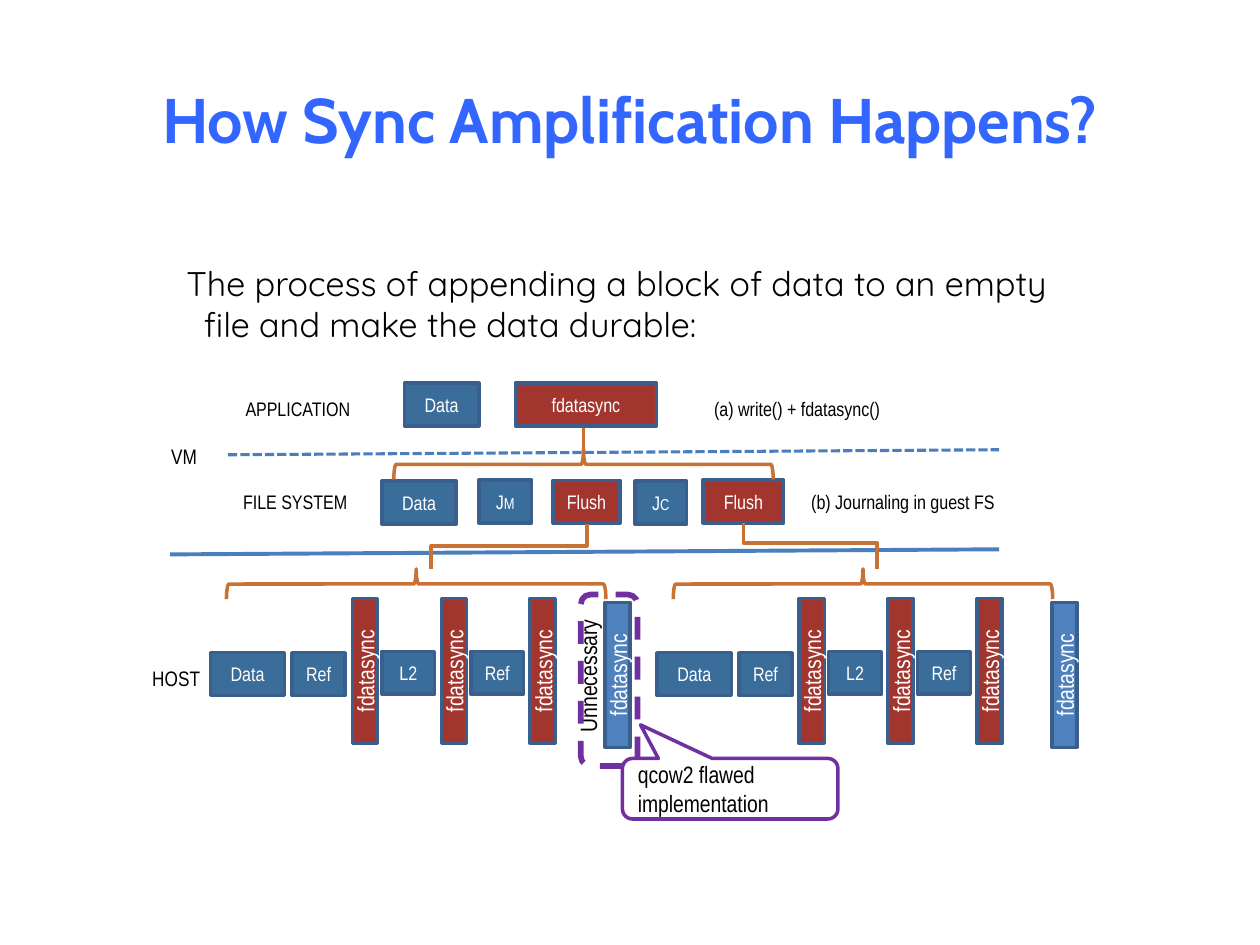
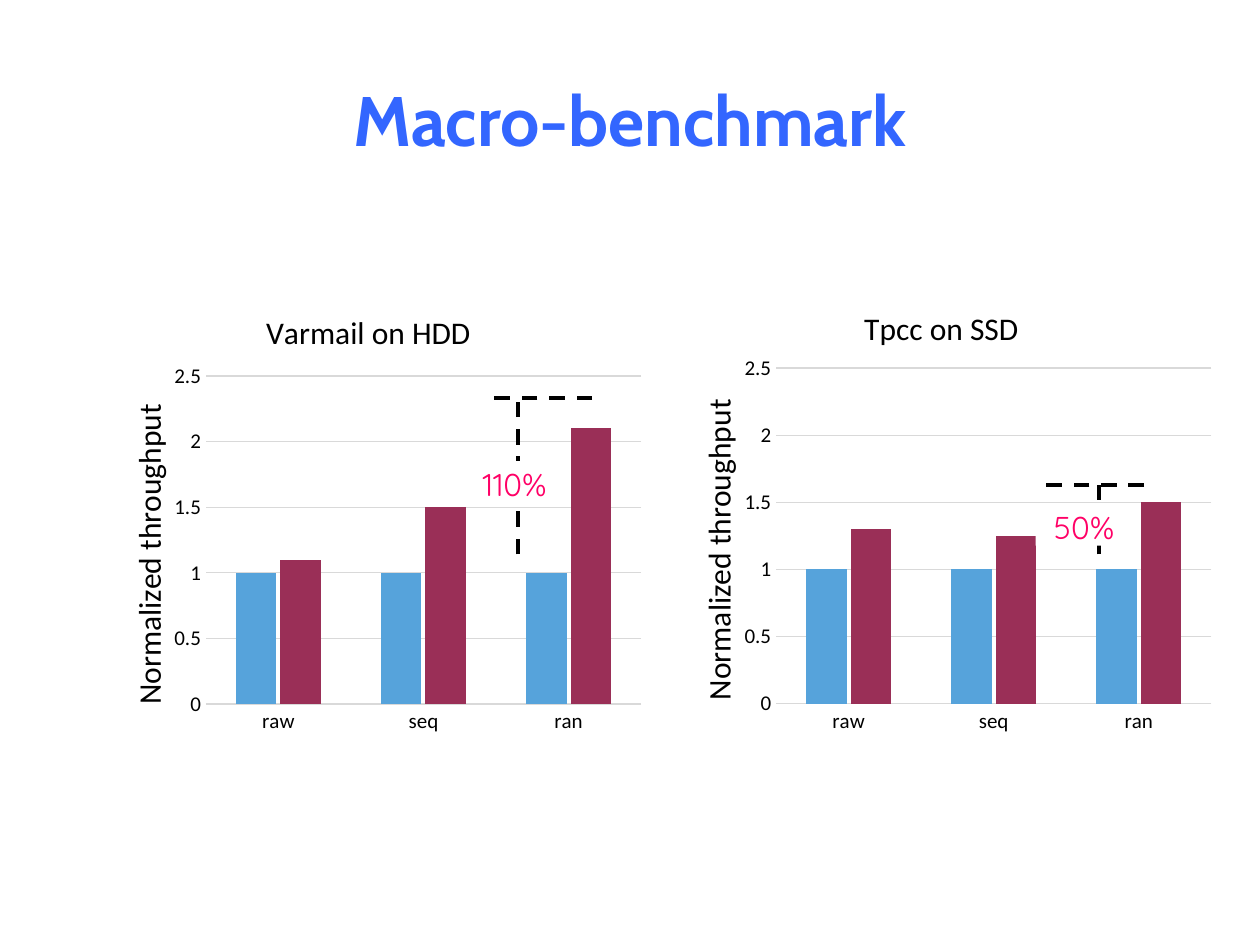
from pptx import Presentation
from pptx.util import Pt
from pptx.dml.color import RGBColor
from pptx.enum.shapes import MSO_SHAPE, MSO_CONNECTOR
from pptx.enum.text import PP_ALIGN, MSO_ANCHOR
from pptx.enum.dml import MSO_LINE
from pptx.enum.chart import XL_CHART_TYPE, XL_TICK_MARK
from pptx.chart.data import CategoryChartData
from pptx.oxml import parse_xml
from pptx.oxml.ns import qn, nsdecls
from lxml.etree import SubElement

# Colours and fonts
BLACK = RGBColor(0, 0, 0)
WHITE = RGBColor(255, 255, 255)
TITLE = RGBColor(0x33, 0x66, 0xFF)
STEEL = RGBColor(0x3B, 0x6D, 0x9B)
RED = RGBColor(0xA2, 0x36, 0x2E)
BLUE = RGBColor(0x4F, 0x81, 0xBD)
EDGE = RGBColor(0x3A, 0x5F, 0x8C)
RULE = RGBColor(0x4B, 0x7E, 0xBC)
ORANGE = RGBColor(0xC8, 0x73, 0x35)
PURPLE = RGBColor(0x70, 0x30, 0xA0)
PINK = RGBColor(0xFF, 0x00, 0x66)
GRID = RGBColor(0xD9, 0xD9, 0xD9)
BARS = [RGBColor(0x56, 0xA3, 0xDB), RGBColor(0x9A, 0x2F, 0x57)]
HEAD, BODY, NARROW, PLOT = "Cabin", "Quicksand", "Arial Narrow", "Calibri"

# Content of slide 1: lengths in points
INTRO = ("The process of appending a block of data to an empty file "
         "and make the data durable:")
LABELS = [  # text, left, top, width, size
    ("VM", 90.7, 249.8, 39.6, 12),
    ("APPLICATION", 133.2, 223.2, 99.4, 11.2),
    ("FILE SYSTEM", 131.8, 276.5, 99.4, 11.2),
    ("(a) write() + fdatasync()", 401, 223.2, 137.5, 11.2),
    ("(b) Journaling in guest FS", 456.5, 276.5, 153.4, 11.2),
    ("HOST", 79.9, 376.6, 46, 12),
]
STEPS = [  # text, left, top, width, fill
    ("Data", 231.1, 218.9, 42.5, STEEL),
    ("fdatasync", 294.5, 218.9, 80.6, RED),
    ("Data", 218.2, 275, 42.5, STEEL),
    ("JM", 273.6, 274.3, 30.2, STEEL),
    ("Flush", 316.1, 274.5, 38.2, RED),
    ("JC", 362.9, 275, 29.5, STEEL),
    ("Flush", 401.8, 274.3, 46.1, RED),
]
HOST = [  # text, left, top, width, fill; repeated for each flush
    ("Data", 120.2, 373, 42.5, STEEL),
    ("Ref", 167, 373, 30.2, STEEL),
    ("L2", 218.2, 372.2, 30.2, STEEL),
    ("Ref", 269, 372.2, 30.2, STEEL),
]
SYNC_X, SYNC_GAP, SYNC_Y, LAST_X, LAST_Y = 201.4, 50.8, 342, 345.8, 344.3
FLUSHES = [0, 255.3]
BRACES = [(333.4, 265.3), (237.8, 333.7), (493.1, 333.7)]  # centres
BENDS = [  # start x, start y, end x, end y, share of the height at the bend
    (335.5, 299.5, 246.2, 325.4, 0.48),
    (424.8, 298.8, 501.1, 325.4, 0.43),
]

# Content of slide 2
CATS = ["raw", "seq", "ran"]
CHARTS = [
    dict(name="Varmail on HDD", left=48.2, vals=[[1, 1, 1], [1.1, 1.5, 2.1]],
         area=(0.214, 0.212, 0.766, 0.704), head=(0.31, 0.06), side=(0.065, 0.26),
         top=(338.4, 279.4, 227.5), stem=295.9,
         gain="110%", at=(266.4, 263.5)),
    dict(name="Tpcc on SSD", left=373.7, vals=[[1, 1, 1], [1.3, 1.25, 1.5]],
         area=(0.215, 0.195, 0.766, 0.72), head=(0.36, 0.05), side=(0.065, 0.25),
         top=(653.8, 594, 277.2), stem=627.8,
         gain="50%", at=(591.8, 288)),
]


def write(shape, text, size=11.2, font=NARROW, color=BLACK, bold=False,
          align=PP_ALIGN.CENTER, anchor=MSO_ANCHOR.MIDDLE, ins=(0, 0, 0, 0),
          hang=0, before=0, space=None, vert=False, small=0):
    """Put one paragraph in a shape; `small` sizes all but the first letter."""
    frame = shape.text_frame
    frame.word_wrap = True
    frame.vertical_anchor = anchor
    (frame.margin_left, frame.margin_top,
     frame.margin_right, frame.margin_bottom) = map(Pt, ins)
    if vert:
        frame._txBody.find(qn("a:bodyPr")).set("vert", "vert270")
    para = frame.paragraphs[0]
    para.alignment = align
    para.space_before = Pt(before)
    if space:
        para.line_spacing = space
    if hang:
        props = para._p.get_or_add_pPr()
        props.set("marL", str(Pt(hang)))
        props.set("indent", str(-Pt(hang)))
    parts = [(text[0], size), (text[1:], small)] if small else [(text, size)]
    for part, pts in parts:
        run = para.add_run()
        run.text = part
        run.font.size, run.font.name = Pt(pts), font
        run.font.bold, run.font.color.rgb = bold, color


def note(slide, box, text, **form):
    shape = slide.shapes.add_textbox(*map(Pt, box))
    write(shape, text, **form)


def draw(slide, kind, box, fill=None, line=None, width=2, dash=None):
    shape = slide.shapes.add_shape(kind, *map(Pt, box))
    shape.shadow.inherit = False
    if fill is None:
        shape.fill.background()
    else:
        shape.fill.solid()
        shape.fill.fore_color.rgb = fill
    if line is None:
        shape.line.fill.background()
    else:
        shape.line.color.rgb, shape.line.width = line, Pt(width)
        if dash:
            shape.line.dash_style = dash
    return shape


def link(slide, ends, color, width, dash=None, kind=MSO_CONNECTOR.STRAIGHT):
    line = slide.shapes.add_connector(kind, *map(Pt, ends))
    line.line.color.rgb, line.line.width = color, Pt(width)
    if dash:
        line.line.dash_style = dash
    SubElement(line._element.spPr, qn("a:effectLst"))
    return line


def bend(slide, x1, y1, x2, y2, share):
    """Elbow that leaves downwards: a turned connector on the same centre."""
    wide, tall = abs(x2 - x1), y2 - y1
    left, top = (x1 + x2 - tall) / 2, (y1 + y2 - wide) / 2
    line = link(slide, (left, top, left + tall, top + wide), ORANGE, 2,
                kind=MSO_CONNECTOR.ELBOW)
    props = line._element.spPr
    frame = props.find(qn("a:xfrm"))
    frame.set("rot", str((90 if x2 < x1 else 270) * 60000))
    if x2 > x1:
        frame.set("flipH", "1")
    geom = props.find(qn("a:prstGeom"))
    guides = geom.find(qn("a:avLst"))
    if guides is None:
        guides = SubElement(geom, qn("a:avLst"))
    SubElement(guides, qn("a:gd"), name="adj1", fmla=f"val {round(share * 100000)}")


def box(slide, text, left, top, width, fill):
    shape = draw(slide, MSO_SHAPE.RECTANGLE, (left, top, width, 24.5), fill, EDGE)
    write(shape, text, color=WHITE, small=9 if text in ("JM", "JC") else 0)


def sync(slide, left, top, fill):
    shape = draw(slide, MSO_SHAPE.RECTANGLE, (left, top, 14.4, 82.8), fill, EDGE)
    write(shape, "fdatasync", size=13.5, color=WHITE, vert=True)


def place(owner, spots, inner=False):
    """Give a chart part a fixed place, as shares of the chart."""
    old = owner.find(qn("c:layout"))
    spot = 0
    if old is not None:
        spot = owner.index(old)
        owner.remove(old)
    rows = '<c:layoutTarget val="inner"/>' if inner else ""
    rows += '<c:xMode val="edge"/><c:yMode val="edge"/>'
    rows += "".join(f'<c:{key} val="{val}"/>' for key, val in zip("xywh", spots))
    owner.insert(spot, parse_xml(
        f'<c:layout {nsdecls("c")}><c:manualLayout>{rows}</c:manualLayout></c:layout>'))


def head(title, text, spots, turn=False):
    frame = title.text_frame
    frame.text = text
    font = frame.paragraphs[0].runs[0].font
    font.size, font.name, font.bold = Pt(18), PLOT, False
    font.color.rgb = BLACK
    if turn:
        body = frame._txBody.find(qn("a:bodyPr"))
        body.set("rot", "-5400000")
        body.set("vert", "horz")
    place(title._element, spots)


def plot(slide, item):
    data = CategoryChartData()
    data.categories = CATS
    for num, vals in enumerate(item["vals"], 1):
        data.add_series(f"Series {num}", vals)
    chart = slide.shapes.add_chart(
        XL_CHART_TYPE.COLUMN_CLUSTERED, Pt(item["left"]), Pt(158.4),
        Pt(324.7), Pt(266.4), data).chart
    chart.font.size, chart.font.name = Pt(10), PLOT
    chart.font.color.rgb = BLACK
    chart.has_legend = False
    chart.has_title = True
    head(chart.chart_title, item["name"], item["head"])
    bars = chart.plots[0]
    bars.gap_width, bars.overlap, bars.vary_by_categories = 150, -10, False
    for row, color in zip(bars.series, BARS):
        row.format.fill.solid()
        row.format.fill.fore_color.rgb = color
    cat, val = chart.category_axis, chart.value_axis
    for axis in (cat, val):
        axis.major_tick_mark = axis.minor_tick_mark = XL_TICK_MARK.NONE
        font = axis.tick_labels.font
        font.size, font.name, font.color.rgb = Pt(12), PLOT, BLACK
    val.minimum_scale, val.maximum_scale, val.major_unit = 0, 2.5, 0.5
    val.has_major_gridlines = True
    val.format.line.fill.background()
    for part in (cat, val.major_gridlines):
        part.format.line.color.rgb, part.format.line.width = GRID, Pt(0.75)
    head(val.axis_title, "Normalized throughput", item["side"], turn=True)
    place(chart._chartSpace.find(".//" + qn("c:plotArea")), item["area"], inner=True)


def start(deck, title, size):
    slide = deck.slides.add_slide(deck.slide_layouts[6])
    note(slide, (36, 21.6, 648, 92), title, size=size, font=HEAD, color=TITLE,
         bold=True, ins=(7.2, 3.6, 7.2, 3.6))
    return slide


deck = Presentation()
deck.slide_width, deck.slide_height = Pt(720), Pt(540)

# Slide 1: layers of calls
page = start(deck, "How Sync Amplification Happens?", 36)
note(page, (101.5, 146.9, 518.4, 92.2), INTRO, size=19.5, font=BODY,
     align=PP_ALIGN.LEFT, anchor=MSO_ANCHOR.TOP, ins=(5, 2.9, 5, 2.9),
     hang=10.1, before=3.9)
for text, left, top, width, size in LABELS:
    note(page, (left, top, width, 21), text, size=size, align=PP_ALIGN.LEFT,
         anchor=MSO_ANCHOR.TOP, ins=(7.2, 3.6, 0, 3.6))
link(page, (130.3, 259.9, 571, 257), RULE, 1.75, MSO_LINE.SQUARE_DOT)
link(page, (97.2, 316.8, 571, 313.9), RULE, 2.25)
link(page, (333.4, 244.1, 333.4, 263.5), ORANGE, 2)
for step in STEPS:
    box(page, *step)
note(page, (329, 336.2, 13.7, 100), "Unnecessary", size=13.5, vert=True)

# Host writes, once for each flush
for shift in FLUSHES:
    for text, left, top, width, fill in HOST:
        box(page, text, left + shift, top, width, fill)
    for num in range(3):
        sync(page, SYNC_X + num * SYNC_GAP + shift, SYNC_Y, RED)
    sync(page, LAST_X + shift, LAST_Y, BLUE)

# Braces and elbows between layers
for mid, level in BRACES:
    brace = draw(page, MSO_SHAPE.LEFT_BRACE,
                 (mid - 8.6, level - 108.4, 17.2, 216.8), line=ORANGE)
    brace.rotation = 90
for ends in BENDS:
    bend(page, *ends)

# Marked extra sync and its callout
draw(page, MSO_SHAPE.ROUNDED_RECTANGLE, (331.9, 339.8, 32.4, 97.9),
     line=PURPLE, width=3.25, dash=MSO_LINE.DASH)
call = draw(page, MSO_SHAPE.ROUNDED_RECTANGULAR_CALLOUT,
            (355.7, 433.4, 123.1, 34.6), line=PURPLE)
for num, val in enumerate((-0.416, -1.055, 0.167)):
    call.adjustments[num] = val
write(call, "qcow2 flawed implementation", size=13.5, align=PP_ALIGN.LEFT,
      ins=(7.2, 3.6, 7.2, 3.6))

# Slide 2: charts, with the gain marked on each
page = start(deck, "Macro-benchmark", 40)
for item in CHARTS:
    plot(page, item)
for item in CHARTS:
    right, left, top = item["top"]
    stem = item["stem"]
    link(page, (right, top, left, top), BLACK, 2.25, MSO_LINE.DASH)
    link(page, (stem, 316.8, stem, top), BLACK, 2.25, MSO_LINE.DASH)
    tag = draw(page, MSO_SHAPE.RECTANGLE, (*item["at"], 55.4, 23.8), WHITE)
    write(tag, item["gain"], size=18, font=BODY, color=PINK,
          ins=(5, 2.9, 5, 2.9), hang=13.7, space=1.1)

deck.save("out.pptx")
